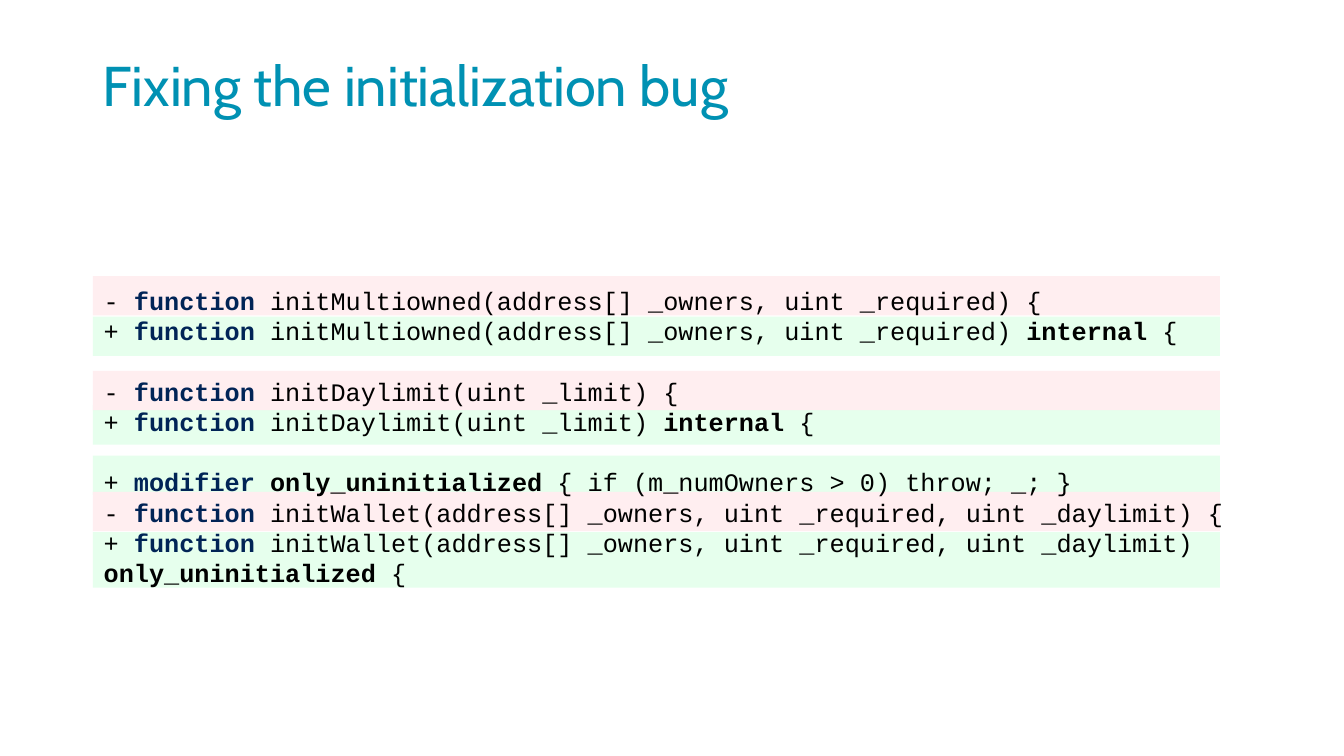
from pptx import Presentation
from pptx.dml.color import RGBColor as RGB
from pptx.enum.shapes import MSO_SHAPE as Shape
from pptx.enum.text import MSO_ANCHOR as Anchor, PP_ALIGN as Align
from pptx.util import Inches, Pt

COLORS = {"title": "0091B3", "-": "FFEEF0", "+": "E6FFED",
          "key": "012456", "code": "000000"}
LEFT, WIDTH = 0.92, 11.18
PITCH = Pt(21.6)

# Bands of the diff: sign, top, height
BANDS = [("-", 2.74, 0.39), ("+", 3.14, 0.39),
         ("+", 4.02, 0.39), ("-", 3.68, 0.39),
         ("+", 5.28, 0.55), ("+", 4.52, 0.39), ("-", 4.88, 0.39)]

# Groups of code lines; asterisks enclose bold words
GROUPS = [
    ["- *function *initMultiowned(address[] _owners, uint _required) {",
     "+ *function *initMultiowned(address[] _owners, uint _required) *internal* {"],
    ["- *function *initDaylimit(uint _limit) {",
     "+ *function *initDaylimit(uint _limit) *internal* {"],
    ["+ *modifier **only_uninitialized *{ if (m_numOwners > 0) throw; _; }",
     "- *function *initWallet(address[] _owners, uint _required, uint _daylimit) {",
     "+ *function *initWallet(address[] _owners, uint _required, uint _daylimit) "
     "*only_uninitialized *{"],
]
KEYS = ("function ", "modifier ")


def apply(obj, form):
    for name, value in form.items():
        setattr(obj, name, value)


def place(shape, *box):
    names = ("left", "top", "width", "height")
    apply(shape, dict(zip(names, map(Inches, box))))


def add_run(para, text, color, **form):
    run = para.add_run()
    run.text = text
    apply(run.font, form)
    run.font.color.rgb = RGB.from_string(COLORS[color])


def add_title(slide, text):
    title = slide.shapes.title
    place(title, LEFT, 0.46, 9.1, 0.83)
    apply(title.text_frame, {"vertical_anchor": Anchor.MIDDLE, "word_wrap": True})
    para = title.text_frame.paragraphs[0]
    apply(para, {"alignment": Align.LEFT, "line_spacing": 0.9})
    add_run(para, text, "title", name="Cabin", size=Pt(40))


def add_band(slide, sign, top, height):
    box = map(Inches, (LEFT, top, WIDTH, height))
    band = slide.shapes.add_shape(Shape.RECTANGLE, *box)
    band.shadow.inherit = False
    band.fill.solid()
    band.fill.fore_color.rgb = RGB.from_string(COLORS[sign])
    band.line.fill.background()


def add_line(para, line):
    for i, part in enumerate(line.split("*")):
        if part:
            color = "key" if part in KEYS else "code"
            add_run(para, part, color, name="Courier New", size=Pt(18),
                    bold=i % 2 == 1)


def add_code(slide, groups):
    box = map(Inches, (0.93, 2.78, 11.4, 3.13))
    frame = slide.shapes.add_textbox(*box).text_frame
    frame.word_wrap = True
    para = frame.paragraphs[0]
    for g, lines in enumerate(groups):
        for n, line in enumerate(lines):
            if g or n:
                para = frame.add_paragraph()
            # A gap of one line parts the groups
            gap = PITCH if g and not n else Pt(0)
            apply(para, {"line_spacing": PITCH, "space_before": gap})
            add_line(para, line)


def main():
    deck = Presentation()
    apply(deck, {"slide_width": Inches(13.33), "slide_height": Inches(7.5)})
    slide = deck.slides.add_slide(deck.slide_layouts[5])
    add_title(slide, "Fixing the initialization bug")
    for band in BANDS:
        add_band(slide, *band)
    add_code(slide, GROUPS)
    deck.save("out.pptx")


if __name__ == "__main__":
    main()
